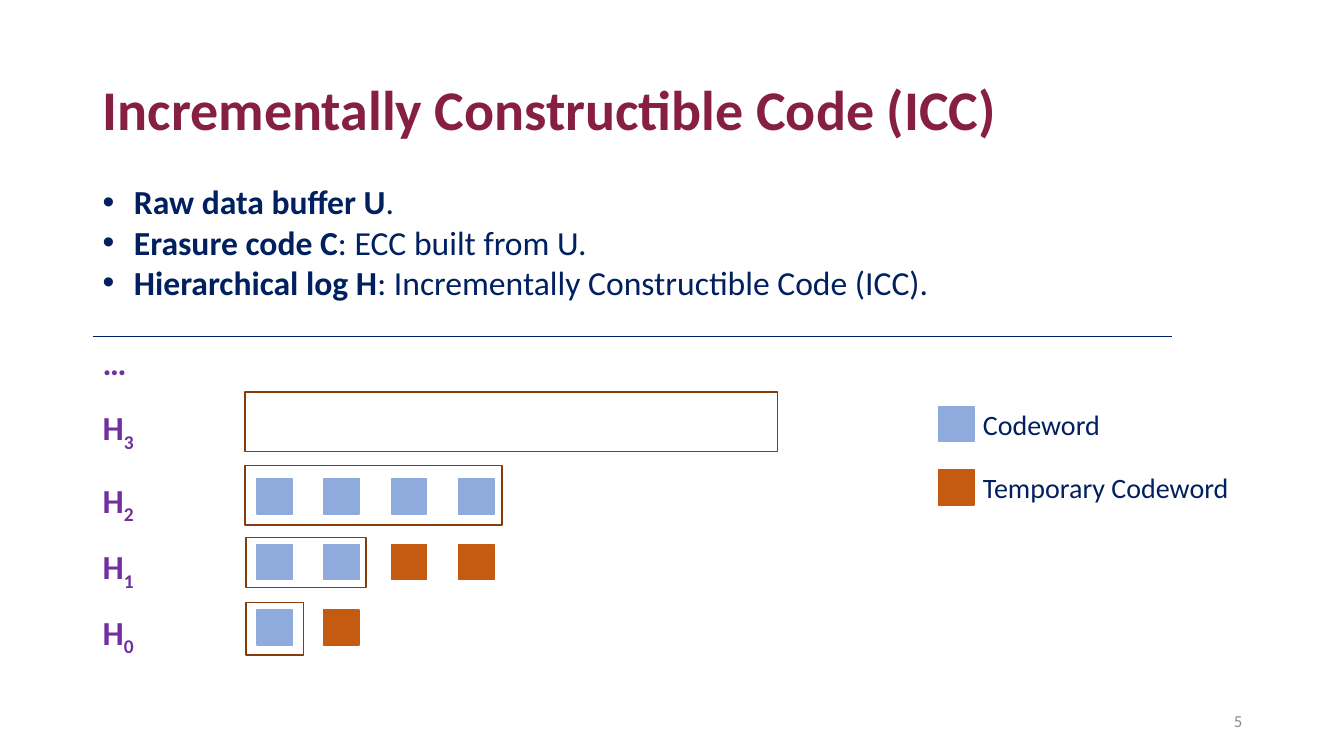
from dataclasses import dataclass

from lxml import etree
from pptx import Presentation
from pptx.dml.color import RGBColor
from pptx.enum.shapes import MSO_CONNECTOR, MSO_SHAPE
from pptx.enum.text import MSO_ANCHOR, MSO_AUTO_SIZE, PP_ALIGN
from pptx.oxml.ns import qn
from pptx.util import Emu, Pt

RECTANGLE = MSO_SHAPE.RECTANGLE
STRAIGHT = MSO_CONNECTOR.STRAIGHT
MIDDLE = MSO_ANCHOR.MIDDLE
LEFT, RIGHT = PP_ALIGN.LEFT, PP_ALIGN.RIGHT
FIT_SHAPE, NO_FIT = MSO_AUTO_SIZE.SHAPE_TO_FIT_TEXT, MSO_AUTO_SIZE.NONE
EMU_PER_PX = 9144
SQUARE = 35
LABEL_LEFT = 92
FIRST_SQUARE_LEFT = 255


@dataclass(frozen=True)
class Theme:
    font: str = "Calibri"
    title: str = "861F41"
    body: str = "002060"
    level: str = "7030A0"
    codeword: str = "8FAADC"
    temporary: str = "C55A11"
    frame: str = "843C0B"
    number: str = "8C8C8C"
    title_size: int = 40
    body_size: int = 24
    legend_size: int = 20
    number_size: int = 12


THEME = Theme()

BULLETS = [
    ("Raw data buffer U", "."),
    ("Erasure code C", ": ECC built from U."),
    ("Hierarchical log H", ": Incrementally Constructible Code (ICC)."),
]

LEVELS = [
    ("3", 399, (243, 389, 528, 59), 0, 0, 0),
    ("2", 471, (243, 462, 255, 59), 475, 4, 0),
    ("1", 537, (244, 533, 119, 50), 540, 2, 2),
    ("0", 602, (244, 598, 57, 52), 605, 1, 1),
]

LEGEND = [
    ("Codeword", THEME.codeword, 403, 399, 146),
    ("Temporary Codeword", THEME.temporary, 466, 462, 280),
]


def px(*lengths):
    return [Emu(length * EMU_PER_PX) for length in lengths]


def add_span(para, text, size, color, bold=False):
    span = para.add_run()
    span.text = text
    span.font.name = THEME.font
    span.font.size = Pt(size)
    span.font.bold = bold
    span.font.color.rgb = RGBColor.from_string(color)
    return span


def add_text_box(page, left, top, width, height):
    box = page.shapes.add_textbox(*px(left, top, width, height))
    box.text_frame.word_wrap = False
    box.text_frame.auto_size = FIT_SHAPE
    return box.text_frame


def add_rectangle(page, left, top, width, height, line, fill=None):
    shape = page.shapes.add_shape(RECTANGLE, *px(left, top, width, height))
    shape.shadow.inherit = False
    if fill:
        shape.fill.solid()
        shape.fill.fore_color.rgb = RGBColor.from_string(fill)
    else:
        shape.fill.background()
    shape.line.color.rgb = RGBColor.from_string(line)
    shape.line.width = Pt(1)


def add_square(page, left, top, color):
    add_rectangle(page, left, top, SQUARE, SQUARE, color, color)


def add_title(page, text):
    title = page.shapes.title
    title.left, title.top, title.width, title.height = px(92, 39, 1150, 145)
    frame = title.text_frame
    frame.auto_size = NO_FIT
    frame.vertical_anchor = MIDDLE
    para = frame.paragraphs[0]
    para.alignment = LEFT
    para.line_spacing = 0.9
    add_span(para, text, THEME.title_size, THEME.title, True)


def add_bullets(page):
    frame = add_text_box(page, LABEL_LEFT, 175, 931, 131)
    for index, (term, meaning) in enumerate(BULLETS):
        para = frame.add_paragraph() if index else frame.paragraphs[0]
        properties = para._p.get_or_add_pPr()
        indent = px(31)[0]
        properties.set("marL", str(indent))
        properties.set("indent", str(-indent))
        etree.SubElement(properties, qn("a:buFont")).set("typeface", "Arial")
        etree.SubElement(properties, qn("a:buChar")).set("char", "•")
        add_span(para, term, THEME.body_size, THEME.body, True)
        add_span(para, meaning, THEME.body_size, THEME.body)


def add_divider(page):
    line = page.shapes.add_connector(STRAIGHT, *px(92, 334, 1162, 334))
    line.line.color.rgb = RGBColor.from_string(THEME.body)
    line.line.width = Pt(1)
    etree.SubElement(line._element.spPr, qn("a:effectLst"))


def add_label(page, text, top, width, subscript=""):
    para = add_text_box(page, LABEL_LEFT, top, width, 50).paragraphs[0]
    add_span(para, text, THEME.body_size, THEME.level, True)
    if subscript:
        span = add_span(para, subscript, THEME.body_size, THEME.level, True)
        span._r.get_or_add_rPr().set("baseline", "-25000")


def add_level(page, subscript, label_top, frame, square_top, codewords, temporaries):
    add_label(page, "H", label_top, 57, subscript)
    colors = [THEME.codeword] * codewords + [THEME.temporary] * temporaries
    for column, color in enumerate(colors):
        add_square(page, FIRST_SQUARE_LEFT + 200 * column // 3, square_top, color)
    add_rectangle(page, *frame, THEME.frame)


def add_legend_entry(page, text, color, square_top, text_top, text_width):
    add_square(page, 931, square_top, color)
    para = add_text_box(page, 965, text_top, text_width, 44).paragraphs[0]
    add_span(para, text, THEME.legend_size, THEME.body)


def add_page_number(page, number):
    frame = add_text_box(page, 942, 695, 300, 40)
    frame.word_wrap = True
    frame.auto_size = NO_FIT
    frame.vertical_anchor = MIDDLE
    para = frame.paragraphs[0]
    para.alignment = RIGHT
    add_span(para, number, THEME.number_size, THEME.number)


def main():
    deck = Presentation()
    deck.slide_width, deck.slide_height = px(1333, 750)
    page = deck.slides.add_slide(deck.slide_layouts[5])
    add_title(page, "Incrementally Constructible Code (ICC)")
    add_bullets(page)
    add_divider(page)
    add_label(page, "…", 334, 49)
    for level in LEVELS:
        add_level(page, *level)
    for entry in LEGEND:
        add_legend_entry(page, *entry)
    add_page_number(page, "5")
    deck.save("out.pptx")


if __name__ == "__main__":
    main()
